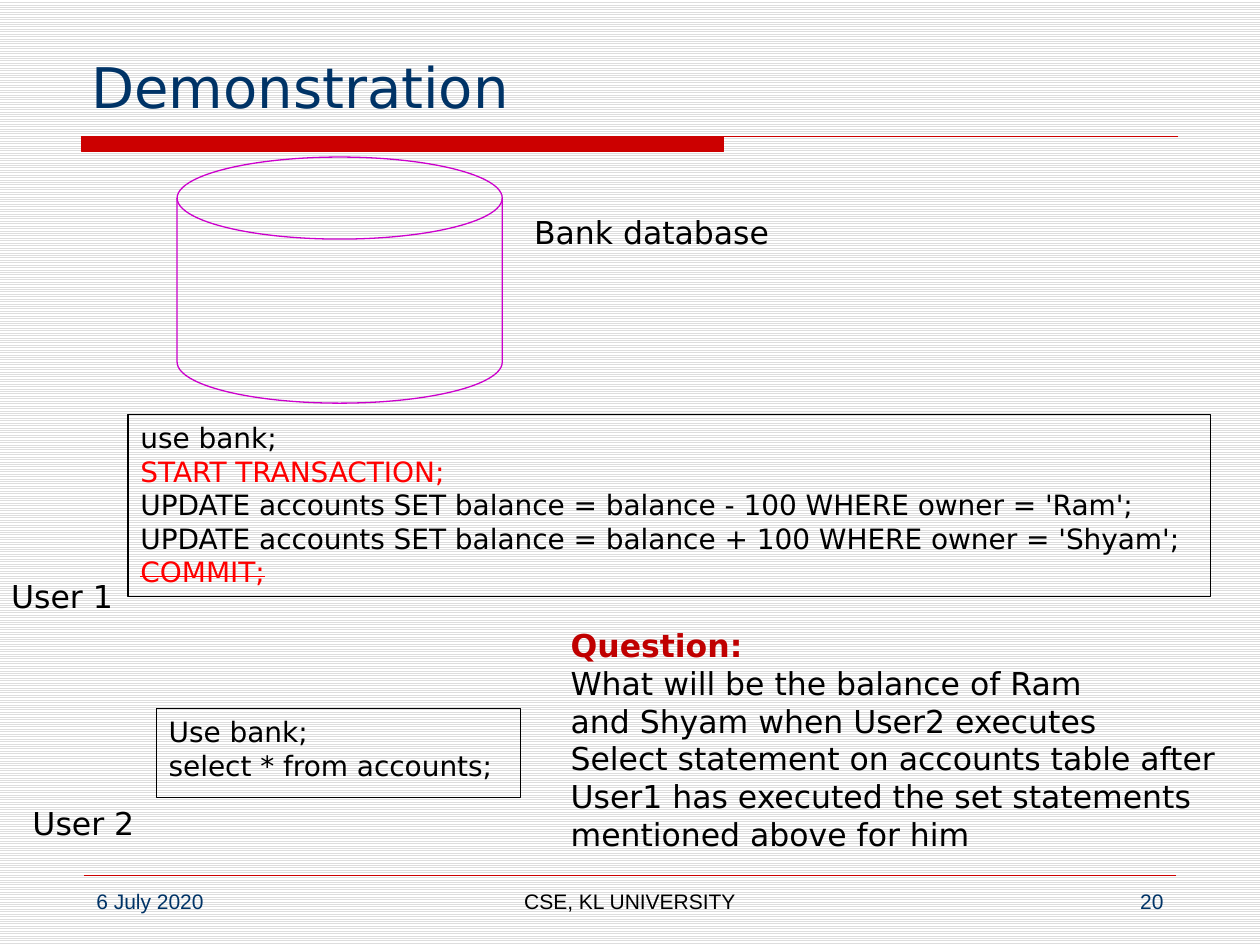
import pptx
import pptx.util
import pptx.dml.color
import pptx.enum.dml
import pptx.enum.shapes
import pptx.enum.text
import pptx.oxml.ns
import lxml.etree

Pt = pptx.util.Pt
SHAPE = pptx.enum.shapes.MSO_SHAPE
ALIGN = pptx.enum.text.PP_ALIGN
ANCHOR = pptx.enum.text.MSO_ANCHOR
SIZE = pptx.enum.text.MSO_AUTO_SIZE
BLACK, NAVY, RED, BRIGHT, DARK = "000000", "003366", "CC0000", "FF0000", "C00000"
SANS = "DejaVu Sans"


def color(value):
    return pptx.dml.color.RGBColor.from_string(value)


def write(sp, lines, size, font=SANS, align=ALIGN.LEFT, anchor=ANCHOR.TOP, wrap=True):
    tf = sp.text_frame
    tf.word_wrap = wrap
    tf.auto_size = SIZE.NONE if wrap else SIZE.SHAPE_TO_FIT_TEXT
    tf.vertical_anchor = anchor
    for i, (text, value) in enumerate(lines):
        p = tf.add_paragraph() if i else tf.paragraphs[0]
        p.alignment = align
        r = p.add_run()
        r.text = text
        r.font.name = font
        r.font.size = Pt(size)
        r.font.color.rgb = color(value)
        r.font.bold = text == "Question:"
        if text == "COMMIT;":
            r.font._element.set("strike", "sngStrike")


prs = pptx.Presentation()
prs.slide_width, prs.slide_height = Pt(720), Pt(540)
s = prs.slides.add_slide(prs.slide_layouts[6])

fill = s.background.fill
fill.patterned()
fill.pattern = pptx.enum.dml.MSO_PATTERN.LIGHT_HORIZONTAL
fill.fore_color.rgb = color("DDDDDD")
fill.back_color.rgb = color("FFFFFF")

left, right, top, bottom, end = Pt(46.8), Pt(673.2), Pt(77.8), Pt(86.4), Pt(413.3)
rule = s.shapes.build_freeform(left, top)
rule.add_line_segments([(end, top), (end, bottom), (left, bottom)], close=True)
rule.move_to(left, top)
rule.add_line_segments([(right, top)], close=False)
sp = rule.convert_to_shape()
sp.shadow.inherit = False
sp.fill.solid()
sp.fill.fore_color.rgb = color(RED)
sp.line.color.rgb = color(RED)
sp.line.width = Pt(0.75)

sp = s.shapes.add_connector(pptx.enum.shapes.MSO_CONNECTOR.STRAIGHT,
                            Pt(48), Pt(500.4), Pt(672), Pt(500.4))
sp.line.color.rgb = color(RED)
sp.line.width = Pt(0.25)
lxml.etree.SubElement(sp._element.spPr, pptx.oxml.ns.qn("a:effectLst"))

sp = s.shapes.add_textbox(Pt(45), Pt(12), Pt(630), Pt(60))
write(sp, [("Demonstration", NAVY)], 32, anchor=ANCHOR.BOTTOM)

for x, w, text, value, align in [
    (48, 156, "6 July 2020", NAVY, ALIGN.LEFT),
    (246, 228, "CSE, KL UNIVERSITY", BLACK, ALIGN.CENTER),
    (516, 156, "20", NAVY, ALIGN.RIGHT),
]:
    sp = s.shapes.add_textbox(Pt(x), Pt(504), Pt(w), Pt(25))
    write(sp, [(text, value)], 12, "Arial", align)

for shape, x, y, w, h, value, lines in [
    (SHAPE.FLOWCHART_MAGNETIC_DISK, 101.2, 89.8, 185.8, 140.6, "CC00CC", []),
    (SHAPE.RECTANGLE, 73.2, 236.8, 618.5, 104, BLACK, [
        ("use bank;", BLACK),
        ("START TRANSACTION;", BRIGHT),
        ("UPDATE accounts SET balance = balance - 100 WHERE owner = 'Ram';", BLACK),
        ("UPDATE accounts SET balance = balance + 100 WHERE owner = 'Shyam';", BLACK),
        ("COMMIT;", BRIGHT),
    ]),
    (SHAPE.RECTANGLE, 89.3, 405, 208, 50.6, BLACK, [
        ("Use bank;", BLACK),
        ("select * from accounts;", BLACK),
    ]),
]:
    sp = s.shapes.add_shape(shape, Pt(x), Pt(y), Pt(w), Pt(h))
    sp.shadow.inherit = False
    sp.fill.background()
    sp.line.color.rgb = color(value)
    sp.line.width = Pt(0.75)
    write(sp, lines, 16)

for x, y, w, h, lines in [
    (-0.7, 326.2, 74.2, 29, [("User 1", BLACK)]),
    (11.5, 455.8, 74.2, 29, [("User 2", BLACK)]),
    (298.1, 118.1, 149, 29, [("Bank database", BLACK)]),
    (319, 354.2, 401, 138.2, [
        ("Question:", DARK),
        ("What will be the balance of Ram", BLACK),
        ("and Shyam when User2 executes", BLACK),
        ("Select statement on accounts table after", BLACK),
        ("User1 has executed the set statements", BLACK),
        ("mentioned above for him", BLACK),
    ]),
]:
    sp = s.shapes.add_textbox(Pt(x), Pt(y), Pt(w), Pt(h))
    write(sp, lines, 18, wrap=False)

prs.save("out.pptx")
